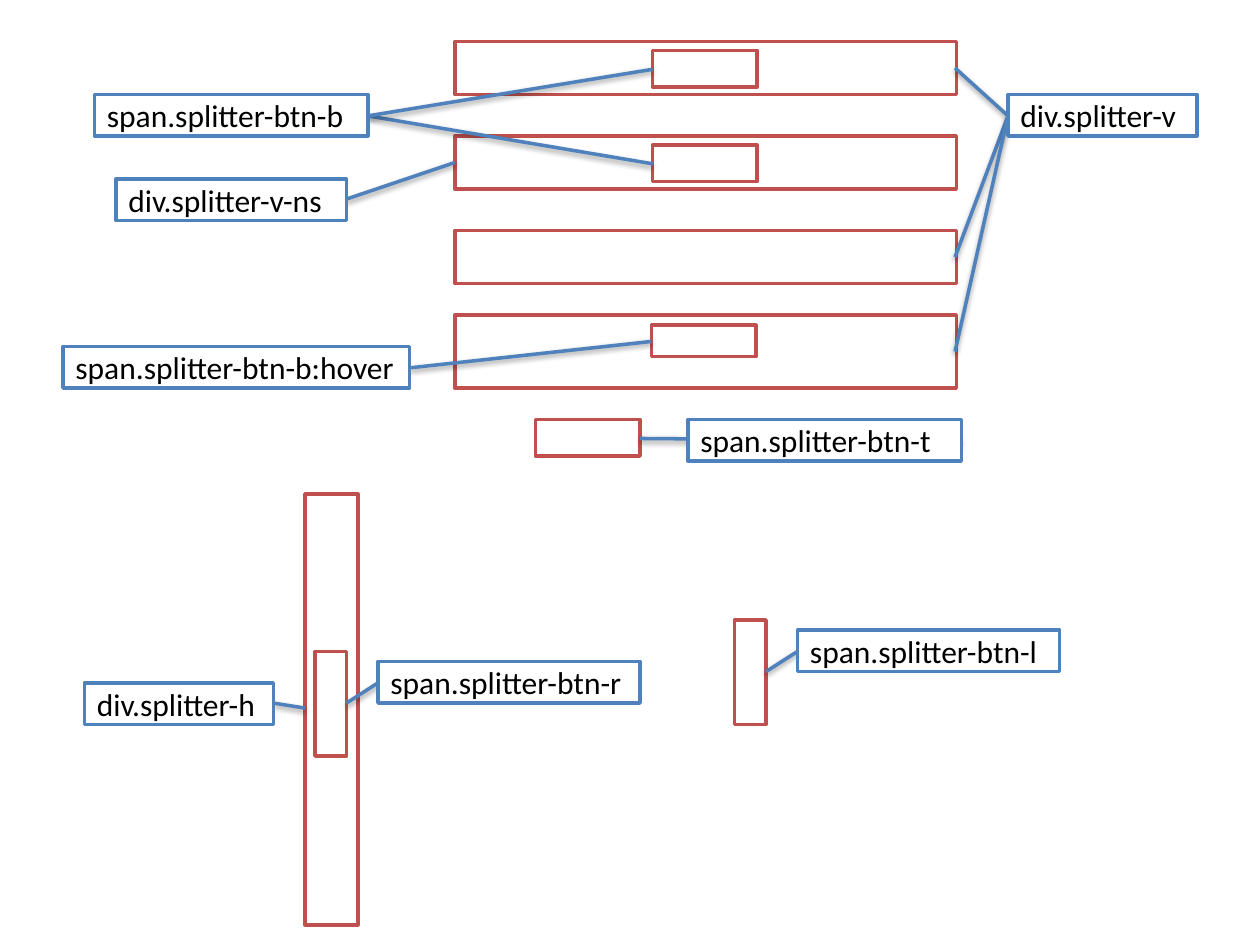
from lxml.etree import SubElement
from pptx import Presentation
from pptx.dml.color import RGBColor
from pptx.enum.shapes import MSO_CONNECTOR, MSO_SHAPE
from pptx.enum.text import MSO_ANCHOR, PP_ALIGN
from pptx.oxml.ns import qn
from pptx.util import Inches, Pt

RED = RGBColor(0xC0, 0x50, 0x4D)
BLUE = RGBColor(0x4F, 0x81, 0xBD)
WHITE = RGBColor(0xFF, 0xFF, 0xFF)
BLACK = RGBColor(0x00, 0x00, 0x00)

BARS = [(0.33, 0.42), (1.08, 0.42), (1.83, 0.42), (2.5, 0.58)]
BUTTONS = [(5.18, 0.4, 0.29), (5.18, 1.15, 0.29), (5.17, 2.58, 0.25), (4.25, 3.33, 0.29)]
UPRIGHTS = [(0.92, 5.42, 3.42, 0.42), (2.21, 5.46, 0.83, 0.25), (5.54, 5.21, 0.83, 0.25)]
LINKS = [
    (3.61, 1.29, 2.75, 1.58),
    (5.18, 1.3, 2.92, 0.92),
    (5.18, 0.55, 2.92, 0.92),
    (8, 0.92, 7.58, 0.54),
    (7.58, 2.04, 8, 0.92),
    (7.58, 2.79, 8, 0.92),
    (5.17, 2.71, 3.25, 2.92),
    (5.08, 3.48, 7.63, 3.5),
    (2.42, 5.62, 2.17, 5.58),
    (2.75, 5.58, 3, 5.42),
    (6.08, 5.33, 6.33, 5.17),
]
LABELS = [
    ("div.splitter-v", 8, 0.75, 1.5),
    ("span.splitter-btn-b", 0.75, 0.75, 2.17),
    ("div.splitter-v-ns", 0.92, 1.42, 1.83),
    ("span.splitter-btn-b:hover", 0.5, 2.75, 2.75),
    ("span.splitter-btn-t", 5.46, 3.33, 2.17),
    ("div.splitter-h", 0.67, 5.42, 1.5),
    ("span.splitter-btn-r", 3, 5.25, 2.08),
    ("span.splitter-btn-l", 6.33, 5, 2.08),
]


def add_box(slide, left, top, width, height, color, turn=0):
    """Add an unfilled outlined rectangle."""
    box = slide.shapes.add_shape(
        MSO_SHAPE.RECTANGLE, Inches(left), Inches(top), Inches(width), Inches(height)
    )
    box.shadow.inherit = False
    box.fill.background()
    box.line.color.rgb = color
    box.line.width = Pt(2)
    box.rotation = turn
    return box


def add_label(slide, text, left, top, width):
    """Add a white box naming a selector."""
    box = add_box(slide, left, top, width, 0.33, BLUE)
    box.fill.solid()
    box.fill.fore_color.rgb = WHITE
    frame = box.text_frame
    frame.word_wrap = True
    frame.vertical_anchor = MSO_ANCHOR.MIDDLE
    para = frame.paragraphs[0]
    para.text = text
    para.alignment = PP_ALIGN.LEFT
    para.font.name = "Calibri"
    para.font.size = Pt(18)
    para.font.color.rgb = BLACK


def add_link(slide, *ends):
    """Add a line with a soft shadow below it."""
    link = slide.shapes.add_connector(MSO_CONNECTOR.STRAIGHT, *map(Inches, ends))
    link.line.color.rgb = BLUE
    link.line.width = Pt(2)
    effects = SubElement(link._element.spPr, qn("a:effectLst"))
    shade = SubElement(
        effects, qn("a:outerShdw"), blurRad="40000", dist="20000", dir="5400000", rotWithShape="0"
    )
    color = SubElement(shade, qn("a:srgbClr"), val="000000")
    SubElement(color, qn("a:alpha"), val="38000")


def main():
    """Build the slide and save it."""
    deck = Presentation()
    deck.slide_width, deck.slide_height = Inches(10), Inches(7.5)
    slide = deck.slides.add_slide(deck.slide_layouts[6])
    for top, height in BARS:
        add_box(slide, 3.61, top, 3.98, height, RED)
    for left, top, height in BUTTONS:
        add_box(slide, left, top, 0.83, height, RED)
    for place in UPRIGHTS:
        add_box(slide, *place, RED, turn=270)
    for ends in LINKS:
        add_link(slide, *ends)
    for label in LABELS:
        add_label(slide, *label)
    deck.save("out.pptx")


if __name__ == "__main__":
    main()
